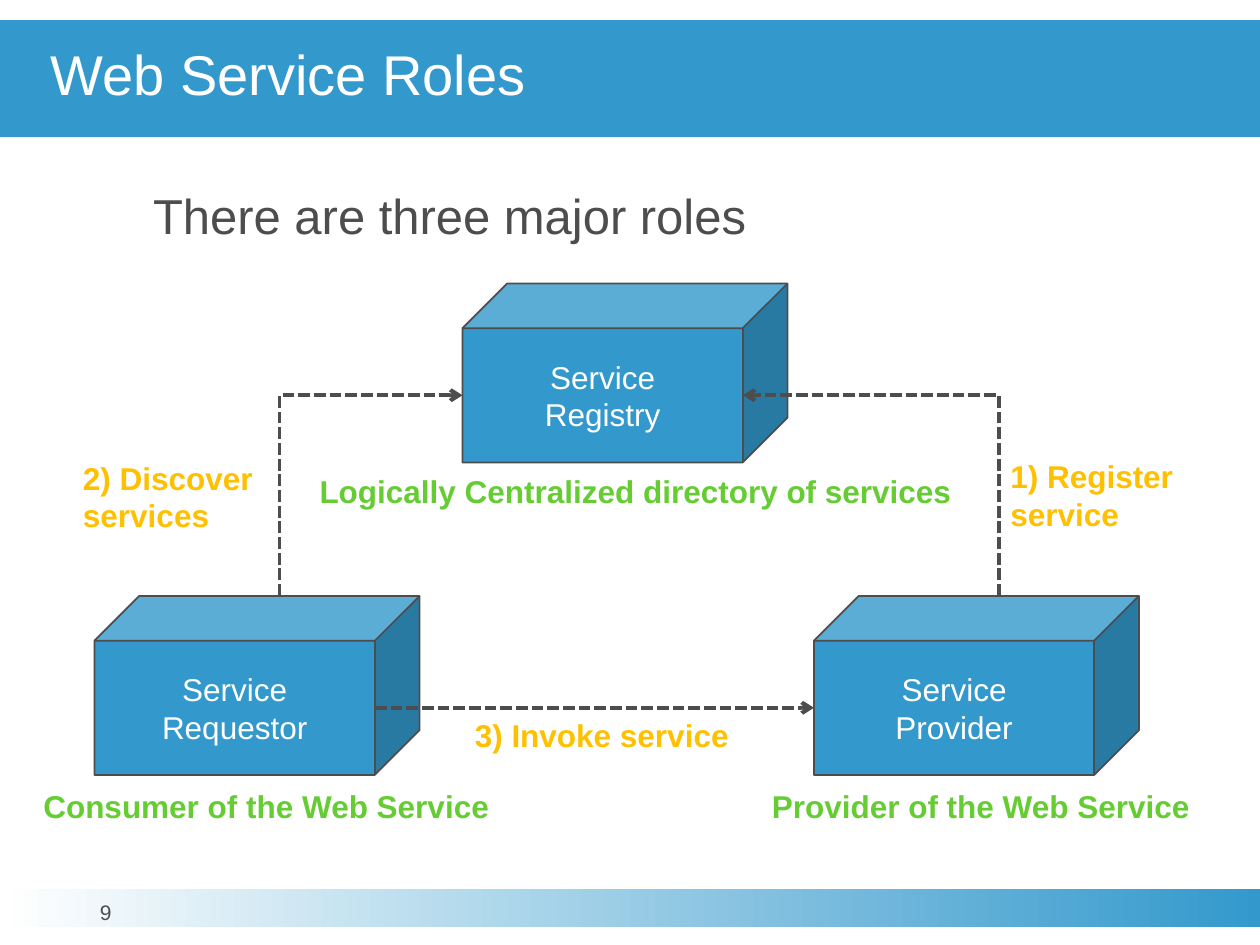
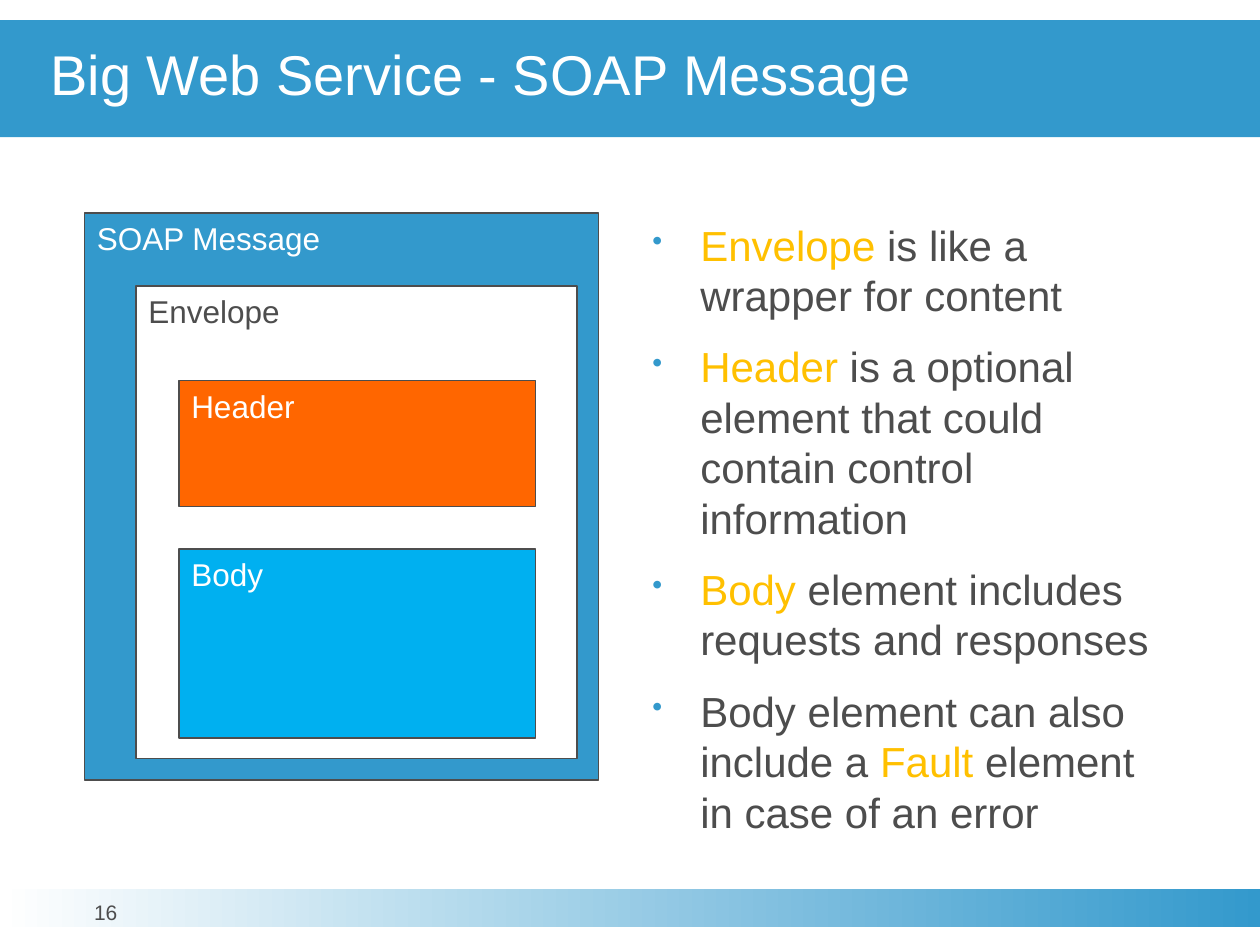
"""Build two slides on web service roles and the SOAP message."""
from dataclasses import dataclass
from typing import Any, NamedTuple

import lxml.etree
import pptx
import pptx.dml.color
import pptx.enum.dml
import pptx.enum.shapes
import pptx.enum.text
import pptx.oxml.ns
import pptx.slide
import pptx.util

Inches = pptx.util.Inches
Pt = pptx.util.Pt
Align = pptx.enum.text.PP_ALIGN
Anchor = pptx.enum.text.MSO_ANCHOR
Kind = pptx.enum.shapes.MSO_SHAPE
Link = pptx.enum.shapes.MSO_CONNECTOR
qn = pptx.oxml.ns.qn


@dataclass(frozen=True)
class Theme:
    font: str = "Arial"
    blue: str = "3399CC"
    white: str = "FFFFFF"
    dark: str = "4D4D4D"
    gold: str = "FFC000"
    green: str = "66CC33"
    red: str = "FF6600"
    sky: str = "00B0F0"
    head: int = 32
    lead: int = 28
    list: int = 24
    text: int = 18
    foot: int = 12


class Box(NamedTuple):
    left: float
    top: float
    width: float
    height: float


class Panel(NamedTuple):
    text: str
    box: Box
    fill: str
    ink: str


class Note(NamedTuple):
    text: str
    box: Box
    ink: str
    align: Any


class Run(NamedTuple):
    text: str
    ink: str


THEME = Theme()
WIDTH, HEIGHT = 10, 7.5
CUBE_W, CUBE_H, DEPTH = 2.58, 1.42, 0.355
INSET = {"margin_left": Inches(0.1), "margin_right": Inches(0.1),
         "margin_top": Inches(0.05), "margin_bottom": Inches(0.05)}
FLUSH = dict.fromkeys(INSET, 0)

CUBES = {
    "Service\nRegistry": Box(3.67, 2.25, CUBE_W, CUBE_H),
    "Service\nRequestor": Box(0.75, 4.73, CUBE_W, CUBE_H),
    "Service\nProvider": Box(6.46, 4.73, CUBE_W, CUBE_H),
}
NOTES = [
    Note("2) Discover services", Box(0.56, 3.59, 1.65, 0.71), THEME.gold, Align.LEFT),
    Note("3) Invoke service", Box(3.67, 5.63, 2.23, 0.4), THEME.gold, Align.LEFT),
    Note("1) Register service", Box(7.92, 3.58, 2.08, 0.71), THEME.gold, Align.LEFT),
    Note("Provider of the Web Service", Box(5.96, 6.2, 3.58, 0.4), THEME.green, Align.RIGHT),
    Note("Consumer of the Web Service", Box(0.16, 6.2, 3.82, 0.4), THEME.green, Align.RIGHT),
    Note("Logically Centralized directory of services", Box(2.27, 3.7, 5.38, 0.4),
         THEME.green, Align.RIGHT),
]
PANELS = [
    Panel("SOAP Message", Box(0.67, 1.69, 4.08, 4.5), THEME.blue, THEME.white),
    Panel("Envelope", Box(1.08, 2.27, 3.5, 3.75), THEME.white, THEME.dark),
    Panel("Header", Box(1.42, 3.02, 2.83, 1), THEME.red, THEME.white),
    Panel("Body", Box(1.42, 4.36, 2.83, 1.5), THEME.sky, THEME.white),
]
POINTS = [
    [Run("Envelope ", THEME.gold), Run("is like a wrapper for content", THEME.dark)],
    [Run("Header", THEME.gold),
     Run(" is a optional element that could contain control information", THEME.dark)],
    [Run("Body", THEME.gold), Run(" element includes requests and responses", THEME.dark)],
    [Run("Body element can also include a ", THEME.dark), Run("Fault", THEME.gold),
     Run(" element in case of an error", THEME.dark)],
]


def tint(code: str) -> pptx.dml.color.RGBColor:
    return pptx.dml.color.RGBColor.from_string(code)


def apply(item: Any, values: dict[str, Any]) -> None:
    for name, value in values.items():
        setattr(item, name, value)


def place(box: Box) -> list[int]:
    return [Inches(side) for side in box]


def ink_run(part: Any, size: int, ink: str, bold: bool = False) -> None:
    apply(part.font, {"name": THEME.font, "size": Pt(size), "bold": bold})
    part.font.color.rgb = tint(ink)


def write(shape: Any, text: str, size: int, ink: str, align: Any = Align.LEFT,
          anchor: Any = Anchor.TOP, inset: dict[str, int] = INSET, bold: bool = False) -> None:
    frame = shape.text_frame
    apply(frame, {"word_wrap": True, "vertical_anchor": anchor, **inset})
    frame.text = text
    for para in frame.paragraphs:
        para.alignment = align
        for run in para.runs:
            ink_run(run, size, ink, bold)


def add_block(shapes: Any, kind: Any, box: Box, fill: str, edge: bool = True) -> Any:
    shape = shapes.add_shape(kind, *place(box))
    shape.shadow.inherit = False
    shape.fill.solid()
    shape.fill.fore_color.rgb = tint(fill)
    if edge:
        shape.line.color.rgb = tint(THEME.dark)
        shape.line.width = Pt(1)
    else:
        shape.line.fill.background()
    return shape


def add_text(slide: pptx.slide.Slide, box: Box, *args: Any, **kwargs: Any) -> Any:
    shape = slide.shapes.add_textbox(*place(box))
    write(shape, *args, **kwargs)
    return shape


def start(deck: Any, title: str, number: int) -> pptx.slide.Slide:
    slide = deck.slides.add_slide(deck.slide_layouts[6])
    band = add_block(slide.shapes, Kind.RECTANGLE, Box(0, 7.06, WIDTH, 0.3), THEME.blue, False)
    band.fill.gradient()
    band.fill.gradient_angle = 0
    for stop, code in zip(band.fill.gradient_stops, (THEME.white, THEME.blue)):
        stop.color.rgb = tint(code)
    head = add_block(slide.shapes, Kind.RECTANGLE, Box(0, 0.16, WIDTH, 0.93), THEME.blue, False)
    write(head, title, THEME.head, THEME.white, anchor=Anchor.MIDDLE,
          inset={**FLUSH, "margin_left": Inches(0.4)})
    head.text_frame.paragraphs[0].line_spacing = 0.85
    foot = add_text(slide, Box(0.31, 7.16, 1.06, 0.31), str(number), THEME.foot, THEME.dark,
                    Align.CENTER, inset=FLUSH)
    foot.text_frame.paragraphs[0].line_spacing = Pt(13)
    return slide


def add_arrow(slide: pptx.slide.Slide, kind: Any, *ends: float) -> Any:
    arrow = slide.shapes.add_connector(kind, *[Inches(end) for end in ends])
    arrow.line.color.rgb = tint(THEME.dark)
    apply(arrow.line, {"width": Pt(2.25),
                       "dash_style": pptx.enum.dml.MSO_LINE.SQUARE_DOT})
    props = arrow._element.spPr
    lxml.etree.SubElement(props.find(qn("a:ln")), qn("a:tailEnd"), type="arrow")
    lxml.etree.SubElement(props, qn("a:effectLst"))
    return arrow


def add_bend(slide: pptx.slide.Slide, x: float, y: float, to_x: float, to_y: float) -> None:
    mid_x, mid_y = (x + to_x) / 2, (y + to_y) / 2
    half_w, half_h = (y - to_y) / 2, abs(to_x - x) / 2
    turn, side = (90, 1) if to_x > x else (270, -1)
    bend = add_arrow(slide, Link.ELBOW, mid_x + side * half_w, mid_y + half_h,
                     mid_x - side * half_w, mid_y - half_h)
    props = bend._element.spPr
    props.find(qn("a:xfrm")).set("rot", str(turn * 60000))
    props.find(qn("a:prstGeom")).set("prst", "bentConnector2")


def add_points(slide: pptx.slide.Slide, box: Box) -> None:
    frame = slide.shapes.add_textbox(*place(box)).text_frame
    apply(frame, {"word_wrap": True, **INSET})
    for index, point in enumerate(POINTS):
        para = frame.add_paragraph() if index else frame.paragraphs[0]
        props = para._p.get_or_add_pPr()
        apply_xml = {"marL": Inches(0.38), "indent": -Inches(0.38)}
        for name, value in apply_xml.items():
            props.set(name, str(value))
        shade = lxml.etree.SubElement(props, qn("a:buClr"))
        lxml.etree.SubElement(shade, qn("a:srgbClr"), val=THEME.blue)
        lxml.etree.SubElement(props, qn("a:buSzPct"), val="70000")
        lxml.etree.SubElement(props, qn("a:buChar"), char="•")
        if index:
            para.space_before = Pt(12)
        for text, ink in point:
            run = para.add_run()
            run.text = text
            ink_run(run, THEME.list, ink)


def draw_roles(deck: Any) -> None:
    slide = start(deck, "Web Service Roles", 9)
    add_text(slide, Box(0.75, 1.47, 5.17, 0.58), "There are three major roles",
             THEME.lead, THEME.dark, Align.RIGHT, inset=FLUSH)
    for text, box in CUBES.items():
        cube = add_block(slide.shapes, Kind.CUBE, box, THEME.blue)
        write(cube, text, THEME.text, THEME.white, Align.CENTER, Anchor.MIDDLE)
    for note in NOTES:
        add_text(slide, note.box, note.text, THEME.text, note.ink, note.align, bold=True)
    hub, asker, giver = CUBES.values()
    face = CUBE_W - DEPTH
    mid = (CUBE_H + DEPTH) / 2
    top = (CUBE_W + DEPTH) / 2
    add_bend(slide, asker.left + top, asker.top, hub.left, hub.top + mid)
    add_arrow(slide, Link.STRAIGHT, asker.left + face, asker.top + mid,
              giver.left, giver.top + mid)
    add_bend(slide, giver.left + top, giver.top, hub.left + face, hub.top + mid)


def draw_soap(deck: Any) -> None:
    slide = start(deck, "Big Web Service - SOAP Message", 16)
    add_points(slide, Box(5.08, 1.69, 4.17, 5.21))
    group = slide.shapes.add_group_shape()
    for panel in PANELS:
        shape = add_block(group.shapes, Kind.RECTANGLE, panel.box, panel.fill)
        write(shape, panel.text, THEME.text, panel.ink)


def main() -> None:
    deck = pptx.Presentation()
    apply(deck, {"slide_width": Inches(WIDTH), "slide_height": Inches(HEIGHT)})
    draw_roles(deck)
    draw_soap(deck)
    deck.save("out.pptx")


if __name__ == "__main__":
    main()
